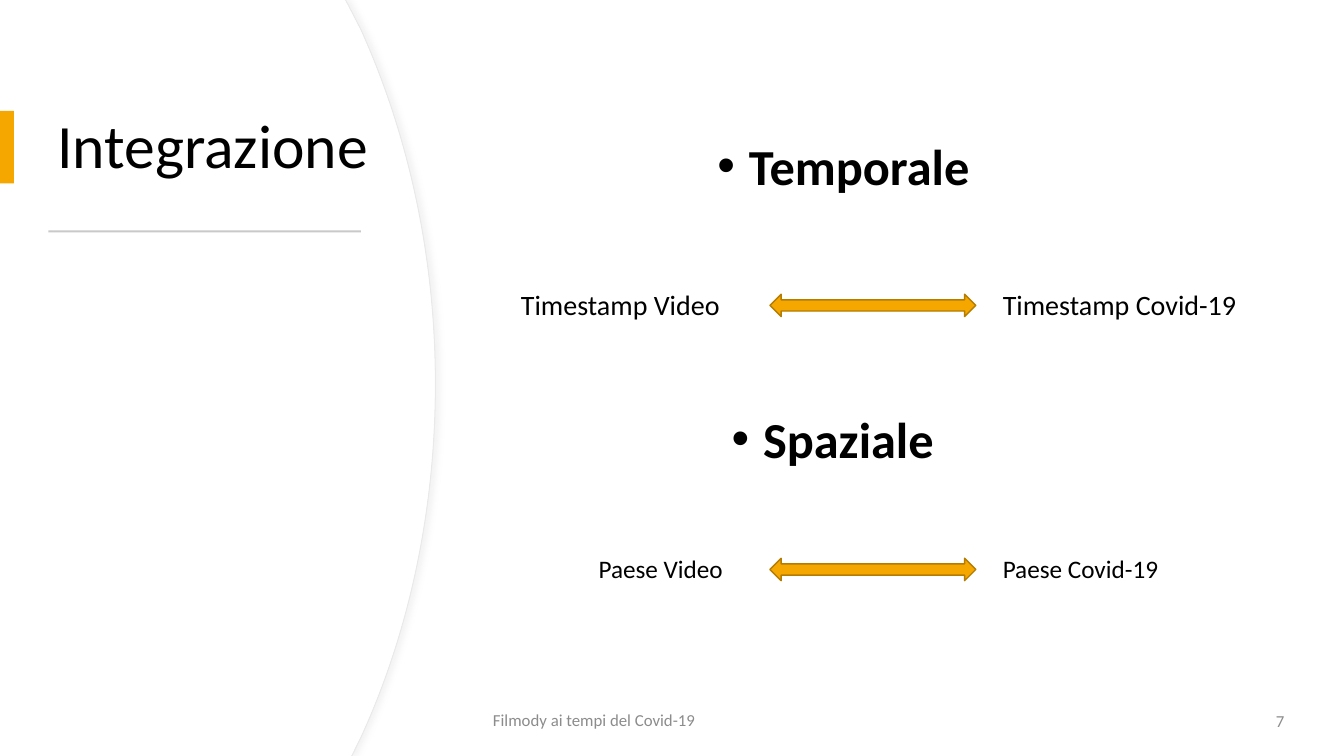
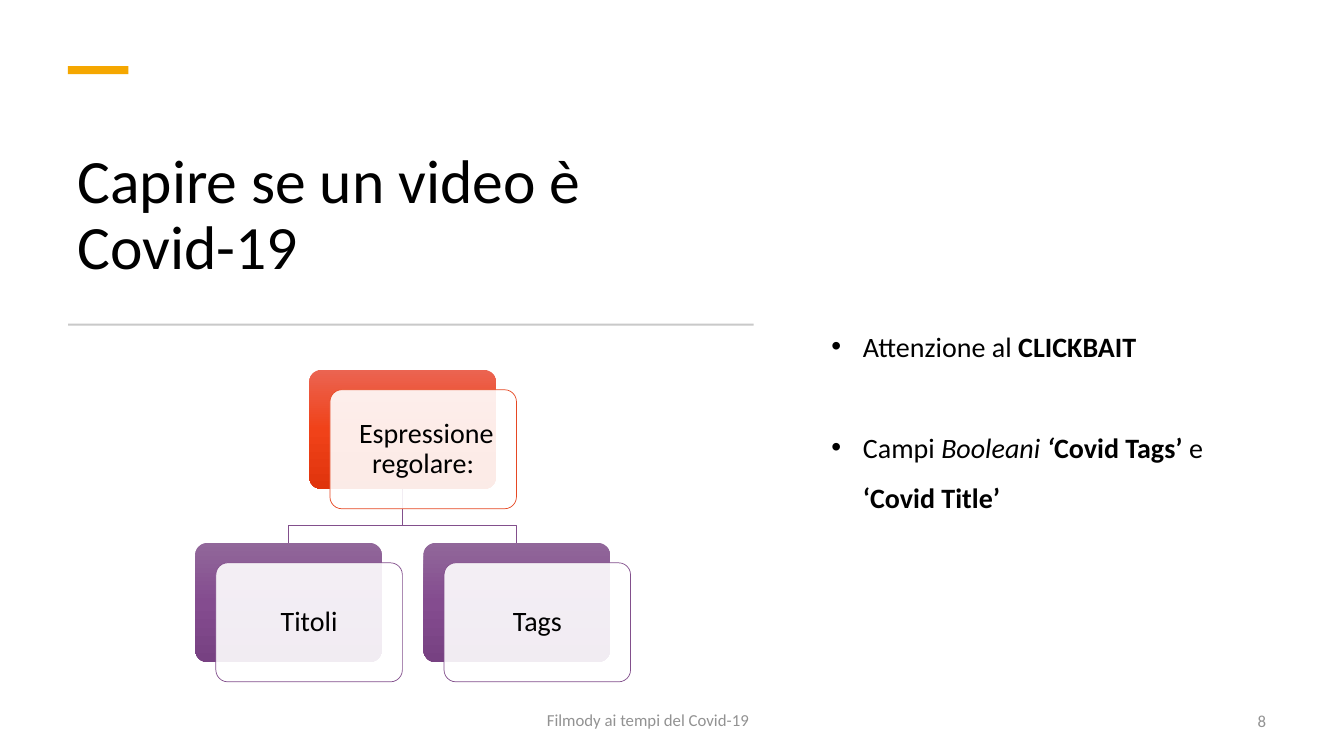
import pptx
import pptx.util
import pptx.dml.color
import pptx.enum.shapes
import pptx.enum.text
import pptx.oxml
import pptx.oxml.ns

Pt = pptx.util.Pt
SHAPE = pptx.enum.shapes.MSO_SHAPE
ALIGN = pptx.enum.text.PP_ALIGN
ANCHOR = pptx.enum.text.MSO_ANCHOR

WIDE, HIGH = 960, 540
FONT = "Calibri"
BLACK, WHITE, GOLD, BROWN = "000000", "FFFFFF", "F5A700", "B57C00"
RULE, EDGE, SHADE = "C9C9C9", "E9E9E9", "D9D9D9"
RED = ("EB6451", "F04219", "E0340C", "E64823")
PLUM = ("91679A", "844C8F", "774182", "824F8C")

FOOTER = "Filmody ai tempi del Covid-19"

HEADS = [
    ("Temporale", (505.4, 92.9, 236.9, 53.3)),
    ("Spaziale", (515.5, 288, 216, 51.1)),
]
PAIRS = [
    ("Timestamp Video", 365, "Timestamp Covid-19", 20, 218.2),
    ("Paese Video", 420.5, "Paese Covid-19", 18, 406.8),
]
NOTES = [
    ([("Attenzione al ", ""), ("CLICKBAIT", "b")], 1, 36),
    ([("Campi ", ""), ("Booleani ", "i"), ("‘", "bi"),
      ("Covid Tags’ ", "b"), ("e ", ""), ("‘Covid Title’", "b")], 1.5, 6),
]
ROOT = " Espressione regolare:"
LEAVES = ["Titoli", "Tags"]

CARD_W, CARD_H = 133.2, 85
STEP_X, STEP_Y = 14.7, 14.2
LEAF_X, PITCH = 139.5, 163
ROOT_Y, BEND_Y, LEAF_Y = 264.2, 375.1, 387.8

ARC = [
    (246.2, 0), (257, 20.9),
    (290.2, 94.3), (310.3, 180.7), (310.3, 274.3),
    (310.3, 367.9), (290.2, 455), (257, 527),
    (250.6, HIGH),
]
BENDS = (2, 5)


def rgb(code):
    return pptx.dml.color.RGBColor.from_string(code)


def xml(tag, body=""):
    space = pptx.oxml.ns.nsdecls("a")
    return pptx.oxml.parse_xml(f"<a:{tag} {space}>{body}</a:{tag}>")


def qn(name):
    return pptx.oxml.ns.qn(f"a:{name}")


def paint(shape, fill=None, line=None, width=1):
    shape.shadow.inherit = False
    if fill:
        shape.fill.solid()
        shape.fill.fore_color.rgb = rgb(fill)
    else:
        shape.fill.background()
    if line:
        shape.line.color.rgb = rgb(line)
        shape.line.width = Pt(width)
    else:
        shape.line.fill.background()
    return shape


def block(slide, box, fill=None, line=None, width=1, kind=SHAPE.RECTANGLE):
    shape = slide.shapes.add_shape(kind, *map(Pt, box))
    return paint(shape, fill, line, width)


def write(para, runs, size, color=BLACK, gap=0, lead=1, align=ALIGN.LEFT, dot=False):
    para.alignment = align
    para.space_after = Pt(gap)
    para.line_spacing = lead
    if dot:
        props = para._p.get_or_add_pPr()
        props.set("marL", str(Pt(22.5)))
        props.set("indent", str(Pt(-22.5)))
        font = xml("buFont")
        font.set("typeface", "Arial")
        mark = xml("buChar")
        mark.set("char", "•")
        props.extend([font, mark])
    for words, style in runs:
        run = para.add_run()
        run.text = words
        run.font.name = FONT
        run.font.size = Pt(size)
        run.font.color.rgb = rgb(color)
        run.font.bold = "b" in style
        run.font.italic = "i" in style


def text(slide, box, words, size, style="", anchor=ANCHOR.TOP, **look):
    frame = slide.shapes.add_textbox(*map(Pt, box)).text_frame
    frame.word_wrap = True
    frame.vertical_anchor = anchor
    if words:
        write(frame.paragraphs[0], [(words, style)], size, **look)
    return frame


def trace(slide, points, closed):
    ends = [(Pt(x), Pt(y)) for x, y in points]
    pen = slide.shapes.build_freeform(*ends[0], scale=1.0)
    pen.add_line_segments(ends[1:], close=closed)
    return pen.convert_to_shape()


def bend(shape, starts):
    way = next(shape._element.iter(qn("path")))
    steps = list(way)
    for start in starts:
        curve = xml("cubicBezTo")
        way.replace(steps[start], curve)
        for step in steps[start:start + 3]:
            curve.append(step[0])
        for step in steps[start + 1:start + 3]:
            way.remove(step)


def arc(slide):
    for shift, line in ((0.7, EDGE), (0, None)):
        points = [(0, 0)] + [(x + shift, y) for x, y in ARC] + [(0, HIGH)]
        shape = paint(trace(slide, points, True), WHITE, line, 0.75)
        bend(shape, [start + 1 for start in BENDS])
        if line:
            glow = xml("outerShdw", f'<a:srgbClr val="{SHADE}"><a:alpha val="30000"/></a:srgbClr>')
            for name, value in (("blurRad", Pt(4)), ("dist", Pt(3)), ("dir", 0)):
                glow.set(name, str(value))
            shape._element.spPr.find(qn("effectLst")).append(glow)


def card(slide, left, top, words, hues):
    back = block(slide, (left, top, CARD_W, CARD_H), kind=SHAPE.ROUNDED_RECTANGLE)
    stops = "".join(
        f'<a:gs pos="{at * 50000}"><a:srgbClr val="{hue}"/></a:gs>'
        for at, hue in enumerate(hues[:3]))
    blend = xml("gradFill", f'<a:gsLst>{stops}</a:gsLst><a:lin ang="5400000" scaled="0"/>')
    props = back._element.spPr
    props.replace(props.find(qn("noFill")), blend)
    front = block(slide, (left + STEP_X, top + STEP_Y, CARD_W, CARD_H),
                  WHITE, hues[3], 0.5, SHAPE.ROUNDED_RECTANGLE)
    alpha = xml("alpha")
    alpha.set("val", "90000")
    front._element.spPr.find(qn("solidFill"))[0].append(alpha)
    for shape in (back, front):
        shape.adjustments[0] = 0.1
    frame = text(slide, (left + STEP_X + 2.5, top + STEP_Y + 2.5, CARD_W - 5, CARD_H - 5),
                 words, 20, anchor=ANCHOR.MIDDLE, lead=0.9, align=ALIGN.CENTER)
    frame.margin_left = frame.margin_right = Pt(6)
    frame.margin_top = frame.margin_bottom = Pt(6)


def base(deck, title, box, anchor, bar, rule):
    slide = deck.slides.add_slide(deck.slide_layouts[6])
    block(slide, (0, 0, WIDE, HIGH), WHITE)
    if anchor == ANCHOR.MIDDLE:
        arc(slide)
    text(slide, box, title, 44, anchor=anchor, lead=0.9)
    block(slide, bar, GOLD)
    block(slide, rule, RULE)
    return slide


def foot(slide, box, align, page, left, width, color):
    text(slide, box, FOOTER, 12, anchor=ANCHOR.MIDDLE, color=color, lead=0.9, align=align)
    text(slide, (left, 500.4, width, 28.8), page, 12, anchor=ANCHOR.MIDDLE,
         color=color, align=ALIGN.RIGHT)


def link(deck):
    slide = base(deck, "Integrazione", (33.8, 54, 276.5, 104.4), ANCHOR.MIDDLE,
                 (0, 79.2, 10, 51.8), (34.6, 164.5, 223.2, 1.44))
    for words, box in HEADS:
        text(slide, box, words, 36, "b", gap=6, dot=True)
    for left, start, right, size, mid in PAIRS:
        high = size * 1.2 + 7.6
        top = mid - high / 2 - 0.4
        text(slide, (start, top, 550 - start, high), left, size)
        block(slide, (550, mid - 8, 147, 16), GOLD, BROWN, 1, SHAPE.LEFT_RIGHT_ARROW)
        text(slide, (709.2, top, 216, high), right, size)
    foot(slide, (275, 500.4, 298.8, 28.8), ALIGN.CENTER, "7", 708.5, 216, "8C8C8C")


def check(deck):
    slide = base(deck, "Capire se un video è Covid-19", (48.2, 84.7, 493.9, 121),
                 ANCHOR.BOTTOM, (48.5, 47.2, 43.2, 5.8), (48.7, 231.1, 489.6, 1.44))
    foot(slide, (218.2, 500.4, 324, 28.8), ALIGN.RIGHT, "8", 686.9, 224.6, "929292")
    frame = text(slide, (586.8, 231.8, 294.5, 136.8), "", 20)
    for at, (runs, lead, gap) in enumerate(NOTES):
        para = frame.add_paragraph() if at else frame.paragraphs[0]
        write(para, runs, 20, lead=lead, gap=gap, dot=True)
    lefts = [LEAF_X + at * PITCH for at in range(len(LEAVES))]
    root = sum(lefts) / len(lefts)
    stem = root + CARD_W / 2
    for left in reversed(lefts):
        drop = left + CARD_W / 2
        points = [(stem, ROOT_Y + CARD_H), (stem, BEND_Y), (drop, BEND_Y), (drop, LEAF_Y)]
        paint(trace(slide, points, False), None, PLUM[3], 0.5)
    card(slide, root, ROOT_Y, ROOT, RED)
    for left, words in zip(lefts, LEAVES):
        card(slide, left, LEAF_Y, words, PLUM)


def main():
    deck = pptx.Presentation()
    deck.slide_width, deck.slide_height = Pt(WIDE), Pt(HIGH)
    link(deck)
    check(deck)
    deck.save("out.pptx")


if __name__ == "__main__":
    main()
